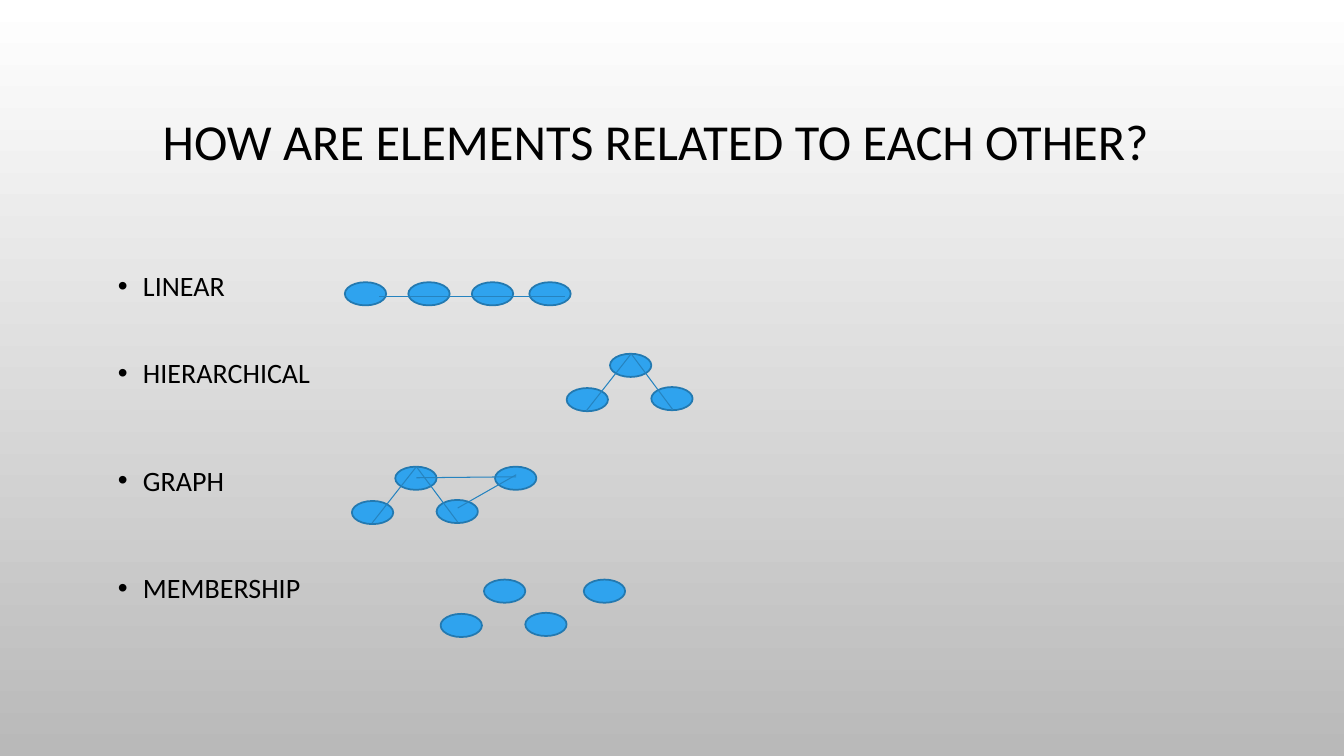
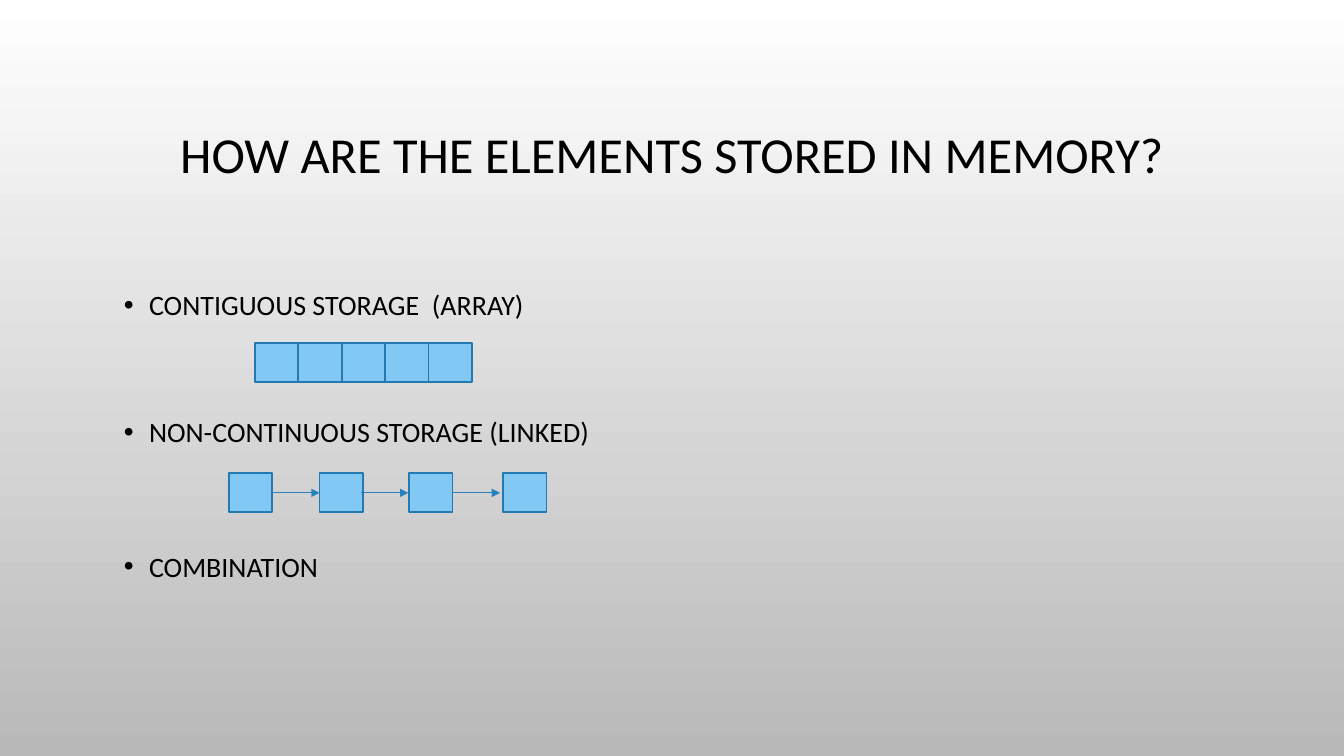
from lxml import etree
from pptx import Presentation
from pptx.dml.color import RGBColor
from pptx.enum.shapes import MSO_CONNECTOR, MSO_SHAPE
from pptx.enum.text import MSO_ANCHOR, MSO_AUTO_SIZE, PP_ALIGN
from pptx.oxml.ns import qn
from pptx.util import Inches, Pt

ELLIPSE = MSO_SHAPE.OVAL
RECTANGLE = MSO_SHAPE.RECTANGLE
STRAIGHT = MSO_CONNECTOR.STRAIGHT
MIDDLE = MSO_ANCHOR.MIDDLE
TOP = MSO_ANCHOR.TOP
NO_AUTOFIT = MSO_AUTO_SIZE.NONE
LEFT = PP_ALIGN.LEFT
CENTER = PP_ALIGN.CENTER

COLORS = {
    "text": "000000",
    "page_top": "FFFFFF",
    "page_bottom": "B9B9B9",
    "node": "2FA3EE",
    "cell": "82C8F5",
    "outline": "2379B0",
    "link": "2683BF",
}
FONT = "Calibri"
TITLE_ONLY = 5
BOX_WIDTH = 11.33
NODE_SIZE = (0.41, 0.23)
CELL_SIZE = (0.43, 0.39)
CLUSTER_NODES = [(0, 0), (-0.43, 0.34), (0.41, 0.33), (0.99, 0)]
BRANCHES = [((0.21, 0), (-0.23, 0.56)), ((0.21, 0), (0.62, 0.55))]
CROSS_LINKS = [((0.21, 0.11), (1.2, 0.1)), ((1.2, 0.08), (0.62, 0.41))]


def color(name):
    return RGBColor.from_string(COLORS[name])


def paint_background(master):
    fill = master.background.fill
    fill.gradient()
    fill.gradient_angle = 270
    for stop, position, name in zip(fill.gradient_stops, (0, 1), ("page_top", "page_bottom")):
        stop.position = position
        stop.color.rgb = color(name)


def write_text(para, text, size=20, align=LEFT, line_spacing=1.2, space_before=0, bullet=False):
    para.alignment = align
    para.line_spacing = line_spacing
    para.space_before = Pt(space_before)
    if bullet:
        properties = para._p.get_or_add_pPr()
        properties.set("marL", str(Inches(0.25)))
        properties.set("indent", str(-Inches(0.25)))
        etree.SubElement(properties, qn("a:buFont"), typeface="Arial")
        etree.SubElement(properties, qn("a:buChar"), char="•")
    span = para.add_run()
    span.text = text
    span.font.name = FONT
    span.font.size = Pt(size)
    span.font.color.rgb = color("text")


def format_frame(frame, anchor):
    frame.word_wrap = True
    frame.auto_size = NO_AUTOFIT
    frame.vertical_anchor = anchor


def add_page(deck, title, left, top):
    page = deck.slides.add_slide(deck.slide_layouts[TITLE_ONLY])
    box = page.shapes.title
    box.left, box.top = Inches(left), Inches(top)
    box.width, box.height = Inches(BOX_WIDTH), Inches(1.75)
    format_frame(box.text_frame, MIDDLE)
    write_text(box.text_frame.paragraphs[0], title, size=36, align=CENTER, line_spacing=0.9)
    return page


def add_bullets(page, left, top, items):
    box = page.shapes.add_textbox(Inches(left), Inches(top), Inches(BOX_WIDTH), Inches(3.74))
    frame = box.text_frame
    format_frame(frame, TOP)
    for index, (text, space_before) in enumerate(items):
        para = frame.add_paragraph() if index else frame.paragraphs[0]
        write_text(para, text, space_before=space_before, bullet=True)


def add_element(page, kind, left, top, size, fill):
    shape = page.shapes.add_shape(kind, Inches(left), Inches(top), *map(Inches, size))
    shape.shadow.inherit = False
    shape.fill.solid()
    shape.fill.fore_color.rgb = color(fill)
    shape.line.color.rgb = color("outline")
    shape.line.width = Pt(1.25)


def add_node(page, left, top):
    add_element(page, ELLIPSE, left, top, NODE_SIZE, "node")


def add_cell(page, left, top):
    add_element(page, RECTANGLE, left, top, CELL_SIZE, "cell")


def add_link(page, start, end, arrow=False):
    link = page.shapes.add_connector(STRAIGHT, *map(Inches, (*start, *end)))
    link.line.color.rgb = color("link")
    link.line.width = Pt(0.75)
    if arrow:
        etree.SubElement(link.line._get_or_add_ln(), qn("a:tailEnd"), type="triangle")
    etree.SubElement(link._element.spPr, qn("a:effectLst"))


def add_cluster(page, left, top, node_count, links):
    for x, y in CLUSTER_NODES[:node_count]:
        add_node(page, left + x, top + y)
    for (x1, y1), (x2, y2) in links:
        add_link(page, (left + x1, top + y1), (left + x2, top + y2))


def build_relations(deck):
    page = add_page(deck, "HOW ARE ELEMENTS RELATED TO EACH OTHER?", 0.84, 0.56)
    add_bullets(page, 1.07, 2.55, [
        ("LINEAR", 0), ("HIERARCHICAL", 33.5), ("GRAPH", 48), ("MEMBERSHIP", 48),
    ])
    for left in (3.42, 4.05, 4.68, 5.25):
        add_node(page, left, 2.8)
    add_link(page, (3.76, 2.94), (5.6, 2.94))
    add_cluster(page, 6.05, 3.51, 3, BRANCHES)
    add_cluster(page, 3.92, 4.63, 4, BRANCHES + CROSS_LINKS)
    add_cluster(page, 4.8, 5.75, 4, [])


def build_storage(deck):
    page = add_page(deck, "HOW ARE THE ELEMENTS STORED IN MEMORY?", 1, 0.68)
    add_bullets(page, 1.13, 2.74, [
        ("CONTIGUOUS STORAGE  (ARRAY)", 0),
        ("NON-CONTINUOUS STORAGE (LINKED)", 62),
        ("COMBINATION", 67),
    ])
    for index in range(5):
        add_cell(page, 2.53 + index * CELL_SIZE[0], 3.4)
    for left in (2.27, 3.17, 4.06, 4.99):
        add_cell(page, left, 4.69)
    for left in (2.7, 3.58, 4.49):
        add_link(page, (left, 4.89), (left + 0.47, 4.89), arrow=True)


def main():
    deck = Presentation()
    deck.slide_width = Inches(13.33)
    deck.slide_height = Inches(7.5)
    paint_background(deck.slide_master)
    build_relations(deck)
    build_storage(deck)
    deck.save("out.pptx")


if __name__ == "__main__":
    main()
